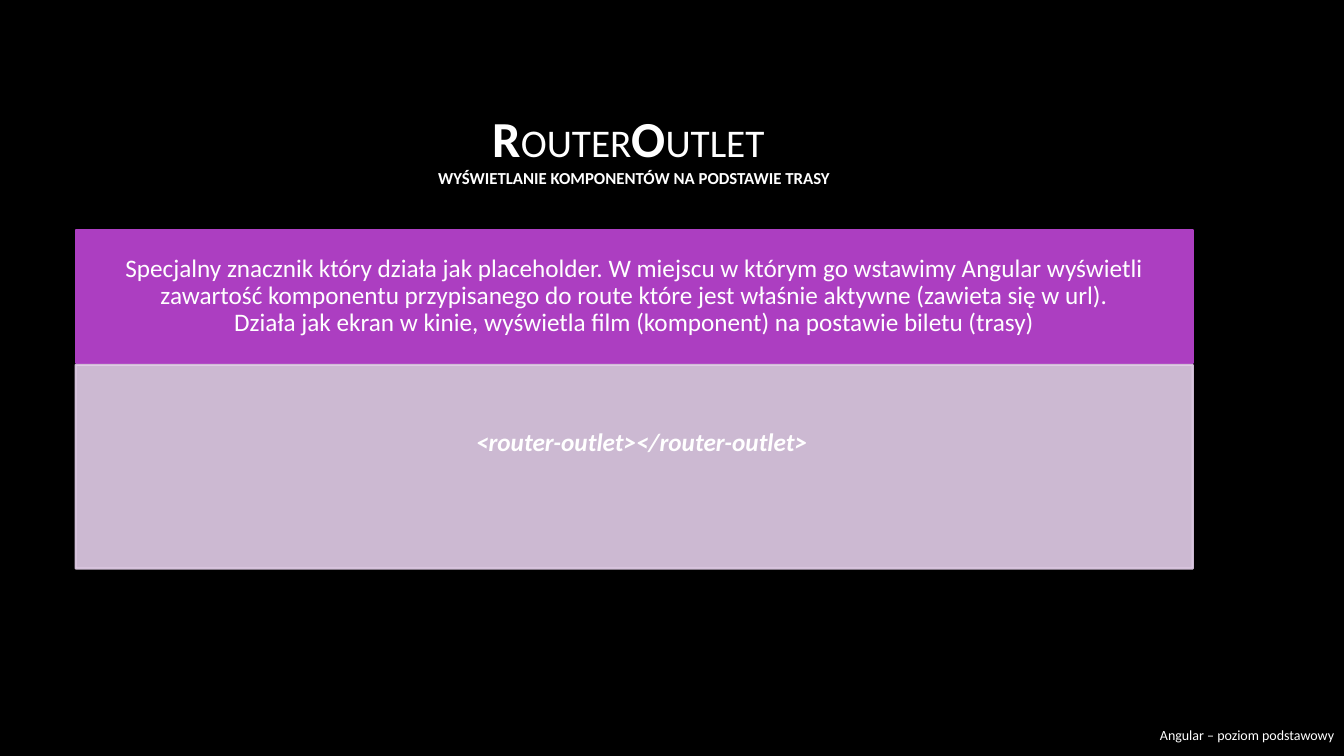
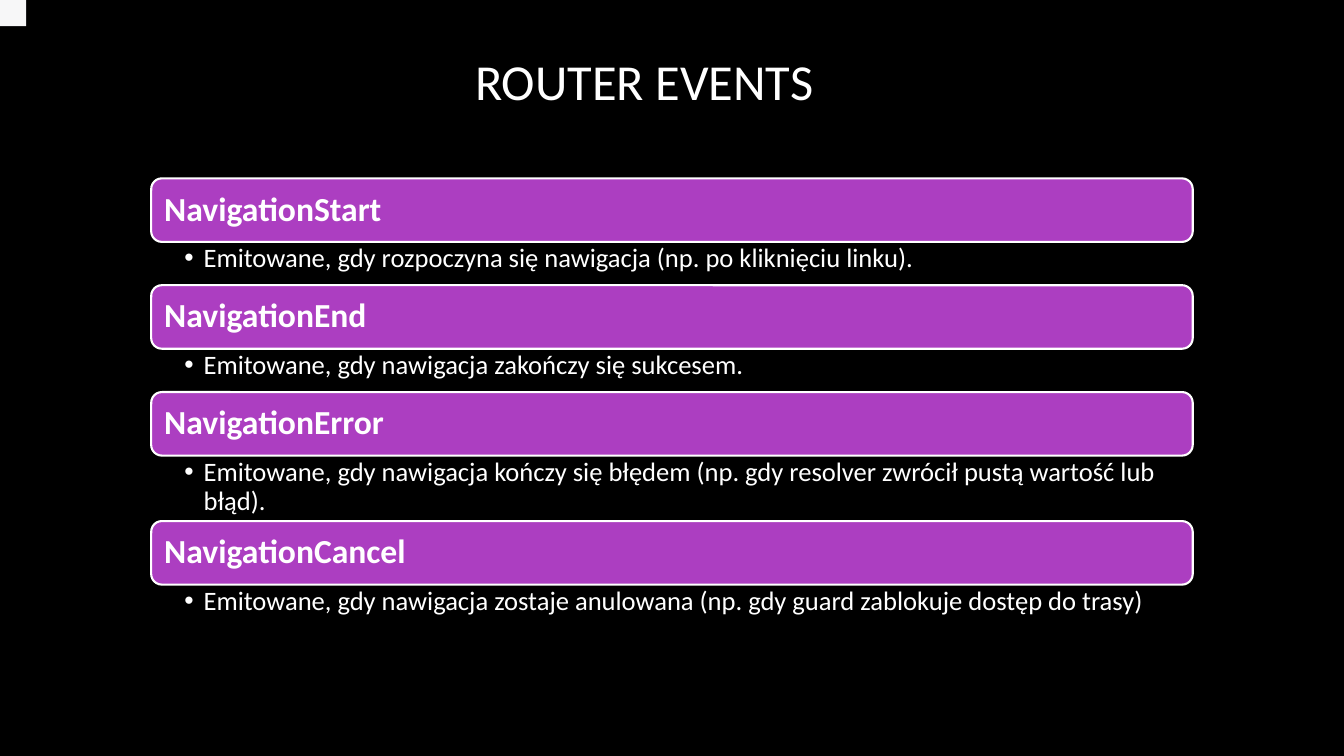
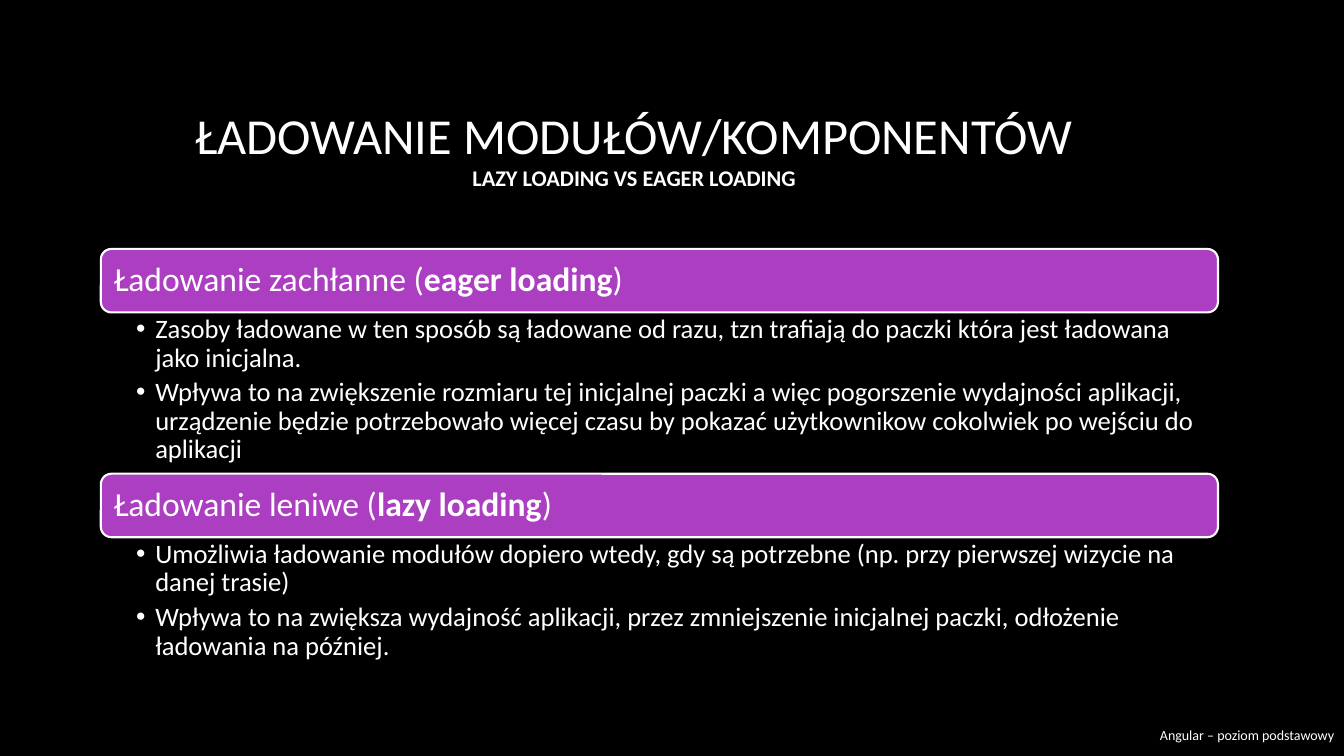
from lxml.etree import SubElement
from pptx import Presentation
from pptx.dml.color import RGBColor
from pptx.enum.shapes import MSO_SHAPE
from pptx.enum.text import MSO_ANCHOR, MSO_AUTO_SIZE, PP_ALIGN
from pptx.oxml.ns import qn
from pptx.util import Inches, Pt

BLACK = RGBColor(0x00, 0x00, 0x00)
WHITE = RGBColor(0xFF, 0xFF, 0xFF)
PURPLE = RGBColor(0xAC, 0x3E, 0xC1)
LILAC = RGBColor(0xE3, 0xCE, 0xE9)
PALE = RGBColor(0xF7, 0xF7, 0xF8)
FONT = "Calibri"
BAR_H = 0.63
TITLE_W = 11.08


class Deck:
    """Holds the shared style and the slide being built."""

    def __init__(self):
        self.prs = Presentation()
        self.prs.slide_width, self.prs.slide_height = Inches(13.33), Inches(7.5)
        fill = self.prs.slide_master.background.fill
        fill.solid()
        fill.fore_color.rgb = BLACK
        self.s = None

    def frame(self, sp, insets=(0.1, 0.05, 0.1, 0.05), anchor=MSO_ANCHOR.MIDDLE):
        tf = sp.text_frame
        tf.word_wrap = True
        tf.auto_size = MSO_AUTO_SIZE.NONE
        tf.vertical_anchor = anchor
        tf.margin_left, tf.margin_top, tf.margin_right, tf.margin_bottom = map(Inches, insets)
        return tf

    def add_text(self, tf, paras, align, spacing=1.0):
        """Fill a frame with paragraphs, each a list of (text, size, bold)."""
        for i, runs in enumerate(paras):
            p = tf.paragraphs[0] if i == 0 else tf.add_paragraph()
            p.alignment = align
            p.line_spacing = spacing
            for text, size, bold in runs:
                r = p.add_run()
                r.text = text
                r.font.name = FONT
                r.font.size = Pt(size)
                r.font.bold = bold
                r.font.color.rgb = WHITE

    def slide(self, paras, left=0.75, top=0.67):
        self.s = self.prs.slides.add_slide(self.prs.slide_layouts[5])
        sp = self.s.shapes.title
        sp.left, sp.top, sp.width, sp.height = map(Inches, (left, top, TITLE_W, 1.59))
        self.add_text(self.frame(sp), paras, PP_ALIGN.CENTER)

    def box(self, at, fill, line=None, kind=MSO_SHAPE.RECTANGLE, opacity=100):
        sp = self.s.shapes.add_shape(kind, *map(Inches, at))
        sp.shadow.inherit = False
        sp.fill.solid()
        sp.fill.fore_color.rgb = fill
        if line is None:
            sp.line.fill.background()
        else:
            sp.line.color.rgb = line
            sp.line.width = Pt(1.5)
        if opacity < 100:
            for clr in sp._element.spPr.iter(qn("a:srgbClr")):
                SubElement(clr, qn("a:alpha"), val=str(opacity * 1000))
        return sp

    def bar(self, left, top, width, runs):
        sp = self.box((left, top, width, BAR_H), PURPLE, WHITE, MSO_SHAPE.ROUNDED_RECTANGLE)
        self.add_text(self.frame(sp, (0.1,) * 4), [runs], PP_ALIGN.LEFT, 0.9)

    def bullets(self, at, items, inset):
        sp = self.s.shapes.add_textbox(*map(Inches, at))
        tf = self.frame(sp, (inset, 0.03, 0.19, 0.03), MSO_ANCHOR.TOP)
        self.add_text(tf, [[(item, 19, False)] for item in items], PP_ALIGN.LEFT, 0.9)
        for p in tf.paragraphs:
            p.space_after = Pt(4)
            pPr = p._p.get_or_add_pPr()
            pPr.set("marL", str(Inches(0.19)))
            pPr.set("indent", str(-Inches(0.19)))
            SubElement(pPr, qn("a:buFont"), typeface="Arial")
            SubElement(pPr, qn("a:buChar"), char="•")

    def sections(self, left, top, width, inset, rows):
        """Stack bars, each followed by its list of the given height."""
        for runs, height, items in rows:
            self.bar(left, top, width, runs)
            self.bullets((left, top + BAR_H, width, height), items, inset)
            top += BAR_H + height

    def footer(self):
        sp = self.s.shapes.add_textbox(*map(Inches, (11.27, 7.09, 2.06, 0.41)))
        self.add_text(self.frame(sp), [[("Angular – poziom podstawowy", 10, False)]],
                      PP_ALIGN.RIGHT)


def outlet_slide(deck):
    deck.slide([
        [("R", 36, True), ("OUTER", 28, False), ("O", 36, True), ("UTLET", 28, False),
         (" ", 36, False)],
        [("WYŚWIETLANIE KOMPONENTÓW NA PODSTAWIE TRASY", 12, True)],
    ])
    sp = deck.box((0.75, 2.28, TITLE_W, 1.32), PURPLE, PURPLE)
    deck.add_text(deck.frame(sp, (0.14, 0.08, 0.14, 0.08)), [
        [("Specjalny znacznik który działa jak placeholder. W miejscu w którym go wstawimy "
          "Angular wyświetli zawartość komponentu przypisanego do route które jest właśnie "
          "aktywne (zawieta się w url).", 18, False)],
        [("Działa jak ekran w kinie, wyświetla film (komponent) na postawie biletu (trasy)",
          18, False)],
    ], PP_ALIGN.CENTER, 0.9)
    sp = deck.box((0.75, 3.62, TITLE_W, 2.02), LILAC, LILAC, opacity=90)
    tf = deck.frame(sp, (0.29, 0.64, 0.14, 0.16), MSO_ANCHOR.TOP)
    deck.add_text(tf, [[("<router-outlet></router-outlet>", 18, True)]], PP_ALIGN.CENTER, 0.9)
    tf.paragraphs[0].runs[0].font.italic = True
    deck.footer()


def events_slide(deck):
    deck.slide([[("ROUTER EVENTS", 36, False)]], 0.85, 0)
    deck.box((0, 0, 0.26, 0.26), PALE)
    events = [
        ("NavigationStart", 0.43,
         "Emitowane, gdy rozpoczyna się nawigacja (np. po kliknięciu linku)."),
        ("NavigationEnd", 0.43, "Emitowane, gdy nawigacja zakończy się sukcesem."),
        ("NavigationError", 0.65,
         "Emitowane, gdy nawigacja kończy się błędem (np. gdy resolver zwrócił pustą "
         "wartość lub błąd)."),
        ("NavigationCancel", 0.43,
         "Emitowane, gdy nawigacja zostaje anulowana (np. gdy guard zablokuje dostęp do trasy)"),
    ]
    deck.sections(1.5, 1.77, 10.33, 0.33,
                  [([(name, 24, True)], height, [text]) for name, height, text in events])


def loading_slide(deck):
    deck.slide([
        [("ŁADOWANIE MODUŁÓW/KOMPONENTÓW", 36, False)],
        [("LAZY LOADING VS EAGER LOADING", 16, True)],
    ])
    modes = [
        ("Ładowanie zachłanne (", "eager loading", 1.6, [
            "Zasoby ładowane w ten sposób są ładowane od razu, tzn trafiają do paczki która "
            "jest ładowana jako inicjalna.",
            "Wpływa to na zwiększenie rozmiaru tej inicjalnej paczki a więc pogorszenie "
            "wydajności aplikacji, urządzenie będzie potrzebowało więcej czasu by pokazać "
            "użytkownikow cokolwiek po wejściu do aplikacji"]),
        ("Ładowanie leniwe (", "lazy loading", 1.3, [
            "Umożliwia ładowanie modułów dopiero wtedy, gdy są potrzebne (np. przy pierwszej "
            "wizycie na danej trasie)",
            "Wpływa to na zwiększa wydajność aplikacji, przez zmniejszenie inicjalnej paczki, "
            "odłożenie ładowania na później."]),
    ]
    deck.sections(1, 2.47, TITLE_W, 0.35, [
        ([(name, 24, False), (term, 24, True), (")", 24, False)], height, items)
        for name, term, height, items in modes])
    deck.footer()


def main():
    deck = Deck()
    outlet_slide(deck)
    events_slide(deck)
    loading_slide(deck)
    deck.prs.save("out.pptx")


if __name__ == "__main__":
    main()
